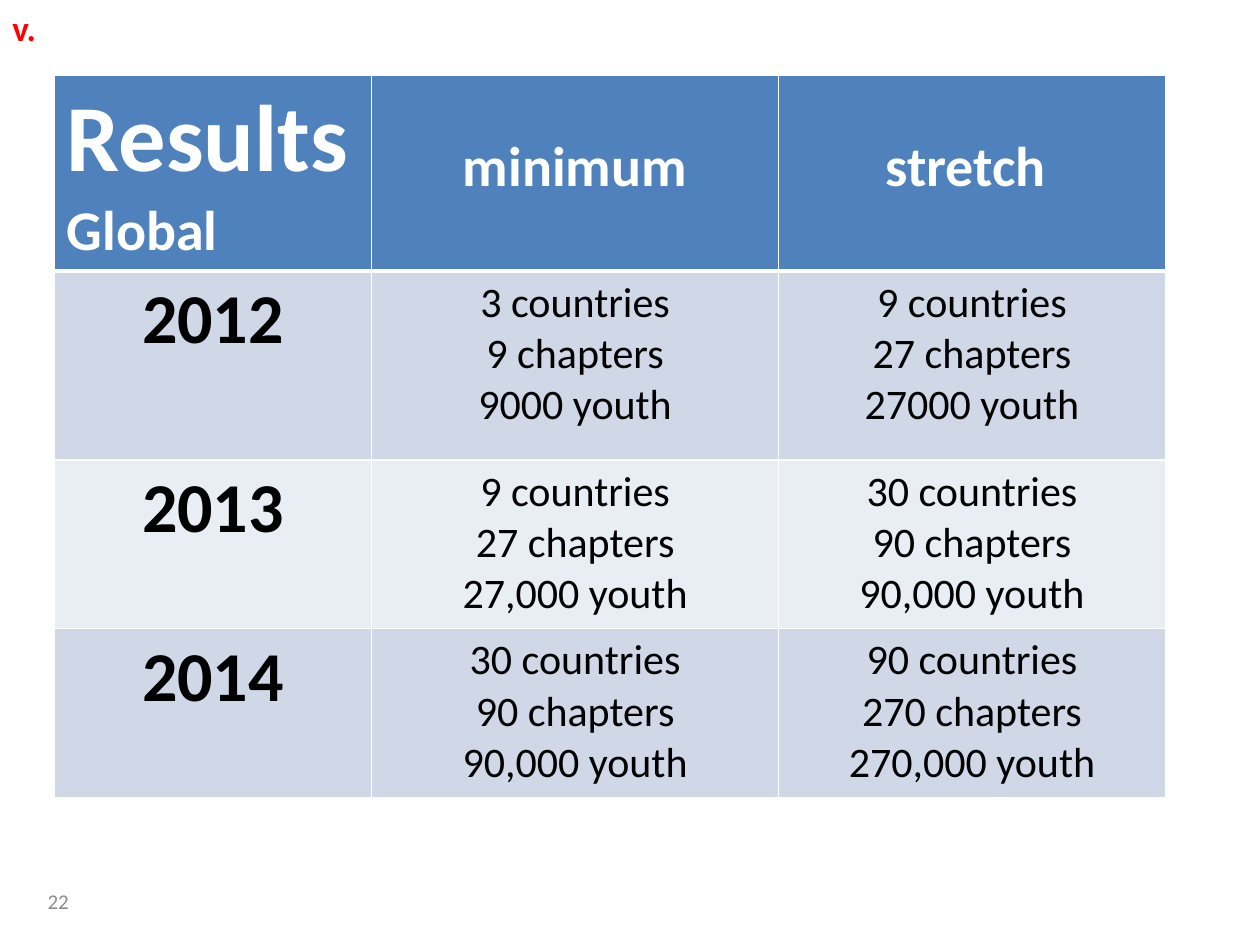
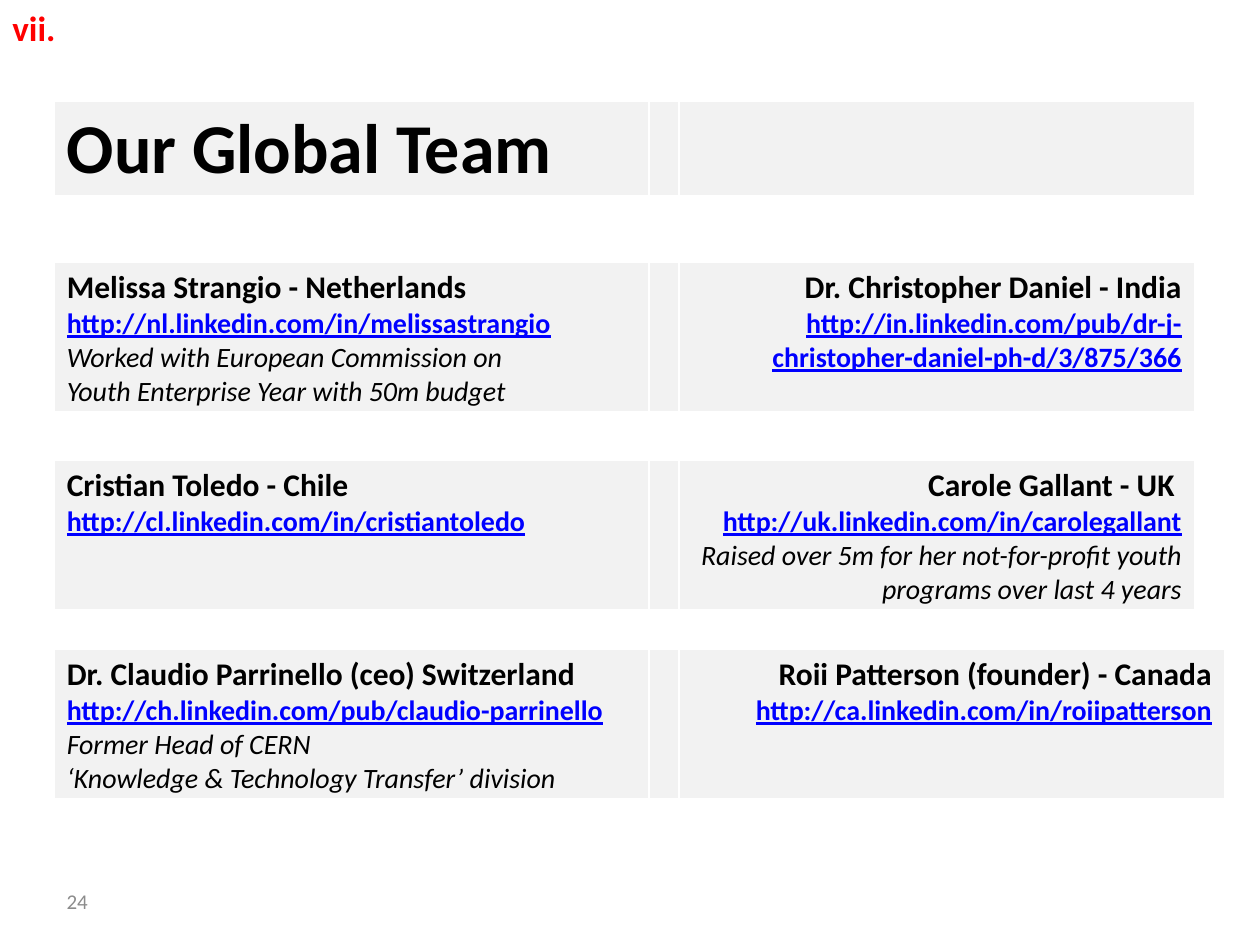
from lxml import etree
from pptx import Presentation
from pptx import util as u
from pptx.dml.color import RGBColor
from pptx.enum import text as t
from pptx.oxml import ns

COLORS = {"white": "FFFFFF", "black": "000000", "header": "4F81BD", "band": "D0D8E8",
          "light_band": "E9EDF4", "card": "F2F2F2", "address": "0000FF",
          "number": "8C8C8C", "section": "FF0000"}
FONT = "Calibri"
# style: size, colour, bold, italic, underline
STYLES = {
    "results": (54, "white", True, False, False),
    "heading": (32, "white", True, False, False),
    "big": (40, "black", True, False, False),
    "target": (24, "black", False, False, False),
    "name": (18, "black", True, False, False),
    "address": (16, "address", True, False, True),
    "note": (16, "black", False, True, False),
    "number": (12, "number", False, False, False),
    "section": (20, "section", True, False, False),
}
LEFT, CENTER, RIGHT = t.PP_ALIGN.LEFT, t.PP_ALIGN.CENTER, t.PP_ALIGN.RIGHT
TABLE_LEFT = 0.43

RESULTS_COLUMNS = (2.52, 3.23, 3.07)
RESULTS_ROWS = (1.55, 1.5, 1.34, 1.34)
RESULTS_TOP = 0.6
HEADING_DROP = 0.46
GOALS = [
    ("2012", ("3 countries", "9 chapters", "9000 youth"),
     ("9 countries", "27 chapters", "27000 youth")),
    ("2013", ("9 countries", "27 chapters", "27,000 youth"),
     ("30 countries", "90 chapters", "90,000 youth")),
    ("2014", ("30 countries", "90 chapters", "90,000 youth"),
     ("90 countries", "270 chapters", "270,000 youth")),
]

NAME_WIDTH, GUTTER, PARTNER_WIDTH, WIDE_PARTNER_WIDTH = 4.72, 0.24, 4.09, 4.33
TITLE_TOP, TITLE_HEIGHT, CARD_HEIGHT = 0.8, 0.77, 1.2
TEAM_TITLE = "Our Global Team"
# top, width of the right card, left member, right member (name, address, notes)
TEAM = [
    (2.08, PARTNER_WIDTH,
     ("Melissa Strangio - Netherlands", "http://nl.linkedin.com/in/melissastrangio",
      "Worked with European Commission on", "Youth Enterprise Year with 50m budget"),
     ("Dr. Christopher Daniel - India",
      "http://in.linkedin.com/pub/dr-j-christopher-daniel-ph-d/3/875/366")),
    (3.65, PARTNER_WIDTH,
     ("Cristian Toledo - Chile", "http://cl.linkedin.com/in/cristiantoledo"),
     ("Carole Gallant - UK ", "http://uk.linkedin.com/in/carolegallant",
      "Raised over 5m for her not-for-profit youth programs over last 4 years")),
    (5.15, WIDE_PARTNER_WIDTH,
     ("Dr. Claudio Parrinello (ceo) Switzerland",
      "http://ch.linkedin.com/pub/claudio-parrinello",
      "Former Head of CERN", "‘Knowledge & Technology Transfer’ division"),
     ("Roii Patterson (founder) - Canada", "http://ca.linkedin.com/in/roiipatterson")),
]


def color(name):
    return RGBColor.from_string(COLORS[name])


def write(frame, lines, align=LEFT):
    """Write (style, text) pairs, one paragraph each."""
    for index, (style, words) in enumerate(lines):
        para = frame.paragraphs[0] if index == 0 else frame.add_paragraph()
        para.alignment = align
        span = para.add_run()
        span.text = words
        font = span.font
        size, ink, font.bold, font.italic, font.underline = STYLES[style]
        font.name, font.size = FONT, u.Pt(size)
        font.color.rgb = color(ink)


def add_label(page, at, style, words, anchor=t.MSO_ANCHOR.TOP):
    box = page.shapes.add_textbox(*(u.Inches(length) for length in at))
    box.text_frame.word_wrap = True
    box.text_frame.vertical_anchor = anchor
    write(box.text_frame, [(style, words)])


def add_page(deck, section, section_width, number, number_left):
    page = deck.slides.add_slide(deck.slide_layouts[6])
    add_label(page, (0, 0, section_width, 0.44), "section", section)
    add_label(page, (number_left, 6.95, 2.33, 0.4), "number", number, t.MSO_ANCHOR.MIDDLE)
    return page


def add_borders(cell, row):
    """Thin white lines, with a heavy one under the first row."""
    widths = {"lnL": 1, "lnR": 1, "lnT": 3 if row == 1 else 1, "lnB": 3 if row == 0 else 1}
    properties = cell._tc.get_or_add_tcPr()
    for side, width in widths.items():
        line = etree.SubElement(properties, ns.qn("a:" + side), w=str(u.Pt(width)))
        fill = etree.SubElement(line, ns.qn("a:solidFill"))
        etree.SubElement(fill, ns.qn("a:srgbClr"), val=COLORS["white"])


def add_grid(page, top, columns, heights, rows, fills, aligns):
    """Add a table whose cells are lists of (style, text)."""
    frame = page.shapes.add_table(len(rows), len(columns), u.Inches(TABLE_LEFT), u.Inches(top),
                                  u.Inches(sum(columns)), u.Inches(sum(heights)))
    table = frame.table
    table.first_row = table.horz_banding = False
    for column, width in zip(table.columns, columns):
        column.width = u.Inches(width)
    for r, (height, row, fill) in enumerate(zip(heights, rows, fills)):
        table.rows[r].height = u.Inches(height)
        for c, (lines, align) in enumerate(zip(row, aligns)):
            cell = table.cell(r, c)
            add_borders(cell, r)
            cell.fill.solid()
            cell.fill.fore_color.rgb = color(fill)
            write(cell.text_frame, lines, align)
    return table


def build_results(deck):
    page = add_page(deck, "v.", 0.51, "22", 0.28)
    rows = [([("results", "Results"), ("heading", "Global")],
             [("heading", "minimum")], [("heading", "stretch ")])]
    for year, *goals in GOALS:
        rows.append([[("big", year)]] + [[("target", line) for line in goal] for goal in goals])
    table = add_grid(page, RESULTS_TOP, RESULTS_COLUMNS, RESULTS_ROWS, rows,
                     ("header", "band", "light_band", "band"), (CENTER,) * 3)
    for para in table.cell(0, 0).text_frame.paragraphs:
        para.alignment = LEFT
    for column in (1, 2):
        table.cell(0, column).margin_top = u.Inches(HEADING_DROP)


def member_lines(name, address, *notes):
    return [("name", name), ("address", address)] + [("note", note) for note in notes]


def build_team(deck):
    page = add_page(deck, "vii.", 0.75, "24", TABLE_LEFT)
    bands = [(TITLE_TOP, TITLE_HEIGHT, PARTNER_WIDTH, [("big", TEAM_TITLE)], [])]
    for top, width, member, partner in TEAM:
        bands.append((top, CARD_HEIGHT, width, member_lines(*member), member_lines(*partner)))
    for top, height, width, left, right in bands:
        add_grid(page, top, (NAME_WIDTH, GUTTER, width), (height,), [(left, [], right)],
                 ("card",), (LEFT, LEFT, RIGHT))


def main():
    deck = Presentation()
    deck.slide_width, deck.slide_height = u.Inches(10), u.Inches(7.5)
    build_results(deck)
    build_team(deck)
    deck.save("out.pptx")


if __name__ == "__main__":
    main()
